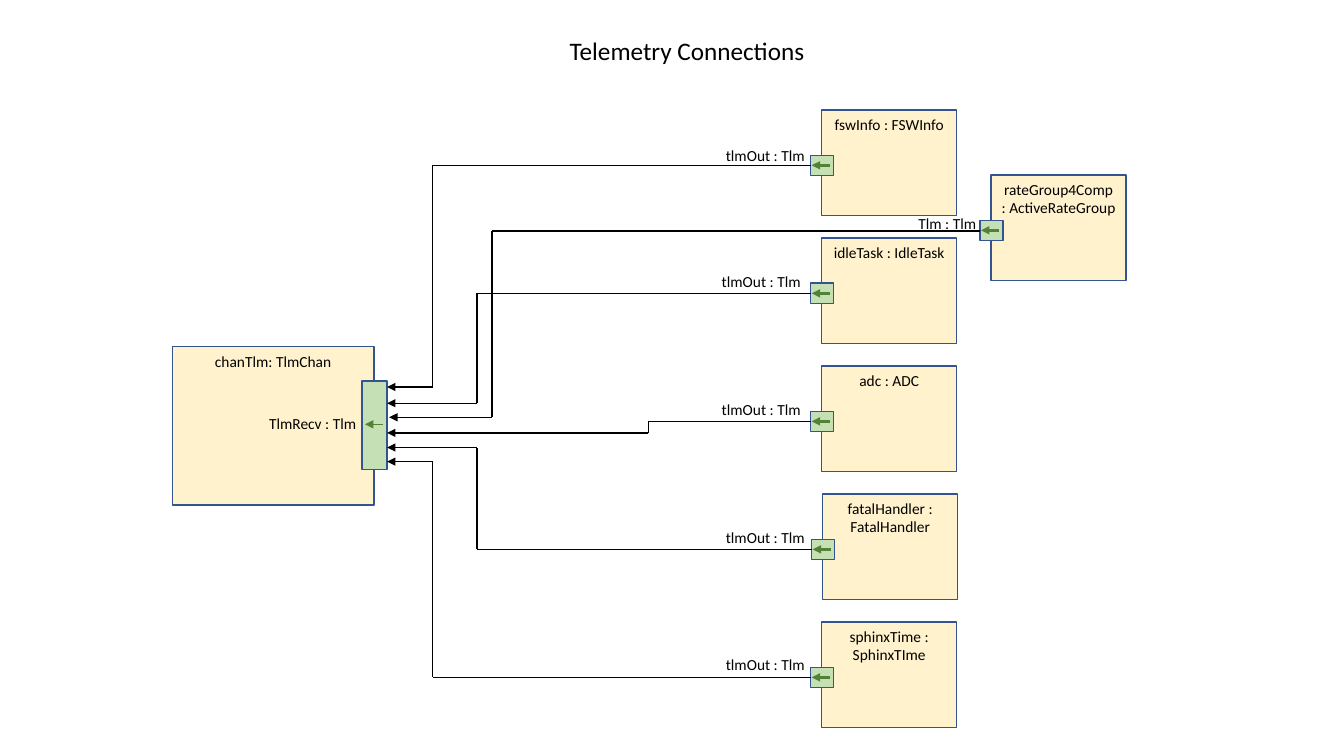
from itertools import pairwise

from lxml import etree
from pptx import Presentation
from pptx.dml.color import RGBColor
from pptx.enum.shapes import MSO_CONNECTOR, MSO_SHAPE
from pptx.enum.text import MSO_ANCHOR, MSO_AUTO_SIZE, PP_ALIGN
from pptx.oxml.ns import qn
from pptx.util import Inches, Pt

COLORS = {
    "text": "000000",
    "wire": "000000",
    "component": "FFF2CC",
    "port": "C5E0B4",
    "border": "325491",
    "port_arrow": "548235",
}
COLUMNS, ROWS = 133.3, 75


class Diagram:
    font = "Calibri"
    body_size = 11
    title_size = 18

    def __init__(self, prs):
        self.column = prs.slide_width / COLUMNS
        self.row = prs.slide_height / ROWS
        self.slide = prs.slides.add_slide(prs.slide_layouts[5])

    def x(self, columns):
        return round(columns * self.column)

    def y(self, rows):
        return round(rows * self.row)

    def area(self, left, top, width, height):
        return self.x(left), self.y(top), self.x(width), self.y(height)

    def color(self, name):
        return RGBColor.from_string(COLORS[name])

    def set_text(self, shape, text, size, align, wrap):
        frame = shape.text_frame
        frame.text = text
        frame.word_wrap = wrap
        frame.vertical_anchor = MSO_ANCHOR.TOP
        frame.auto_size = MSO_AUTO_SIZE.NONE if wrap else MSO_AUTO_SIZE.SHAPE_TO_FIT_TEXT
        paragraph = frame.paragraphs[0]
        paragraph.alignment = align
        paragraph.line_spacing = 1.0
        font = paragraph.runs[0].font
        font.name, font.size = self.font, Pt(size)
        font.color.rgb = self.color("text")

    def title(self, text, *area):
        shape = self.slide.shapes.title
        shape.left, shape.top, shape.width, shape.height = self.area(*area)
        self.set_text(shape, text, self.title_size, PP_ALIGN.LEFT, False)

    def label(self, text, *area):
        shape = self.slide.shapes.add_textbox(*self.area(*area))
        self.set_text(shape, text, self.body_size, PP_ALIGN.LEFT, False)

    def box(self, fill, *area, text=None):
        shape = self.slide.shapes.add_shape(MSO_SHAPE.RECTANGLE, *self.area(*area))
        shape.shadow.inherit = False
        shape.fill.solid()
        shape.fill.fore_color.rgb = self.color(fill)
        shape.line.color.rgb = self.color("border")
        shape.line.width = Pt(1)
        if text:
            self.set_text(shape, text, self.body_size, PP_ALIGN.CENTER, True)

    def line(self, start, end, color="wire", width=1, arrow=False):
        (x1, y1), (x2, y2) = start, end
        line = self.slide.shapes.add_connector(
            MSO_CONNECTOR.STRAIGHT, self.x(x1), self.y(y1), self.x(x2), self.y(y2))
        line.line.color.rgb = self.color(color)
        line.line.width = Pt(width)
        properties = line._element.spPr
        if arrow:
            etree.SubElement(properties.get_or_add_ln(), qn("a:tailEnd"), type="triangle")
        etree.SubElement(properties, qn("a:effectLst"))

    def wire(self, *points):
        segments = list(pairwise(points))
        for segment in segments:
            self.line(*segment, arrow=segment == segments[-1])

    def port_arrow(self, right, y, width=0):
        self.line((right, y), (right - 1.8, y), "port_arrow", width, True)

    def component(self, text, left, top):
        self.box("component", left, top, 13.4, 10.5, text=text)
        self.box("port", left - 1.1, top + 4.5, 2.3, 2)
        self.port_arrow(left + 0.8, top + 5.5)


prs = Presentation()
prs.slide_width, prs.slide_height = Inches(13.33), Inches(7.5)
diagram = Diagram(prs)

diagram.title("Telemetry Connections", 55.5, 3, 25.6, 4)
diagram.box("component", 17.1, 34.4, 20, 15.7, text="chanTlm: TlmChan")
diagram.box("port", 35.9, 37.8, 2.5, 8.8)
diagram.port_arrow(38, 42.1, 0.5)
diagram.label("TlmRecv : Tlm", 25.7, 40.6, 10.8, 2.9)

first_top, pitch = 10.9, 12.7
senders = [
    ("fswInfo : FSWInfo", 81.5, 71, 14, 42.9, 38.4),
    ("idleTask : IdleTask", 81.5, 70.6, 26.5, 47.3, 40),
    ("adc : ADC", 81.5, 70.6, 39.2, 64.3, 42.95),
    ("fatalHandler : FatalHandler", 81.6, 71, 51.9, 47.3, 44.4),
    ("sphinxTime : SphinxTIme", 81.5, 71, 64.5, 42.9, 45.8),
]
for index, (name, left, label_left, label_top, bend, entry) in enumerate(senders):
    top = first_top + index * pitch
    port_y = top + 5.5
    diagram.component(name, left, top)
    diagram.wire((left - 1.1, port_y), (bend, port_y), (bend, entry), (38.4, entry))
    diagram.label("tlmOut : Tlm", label_left, label_top, 9.9, 2.9)

diagram.component("rateGroup4Comp : ActiveRateGroup", 98.3, 17.35)
diagram.wire((97.2, 22.9), (48.8, 22.9), (48.8, 41.4), (38.6, 41.4))
diagram.label("Tlm : Tlm", 90.1, 20.7, 7.8, 2.9)

prs.save("out.pptx")
